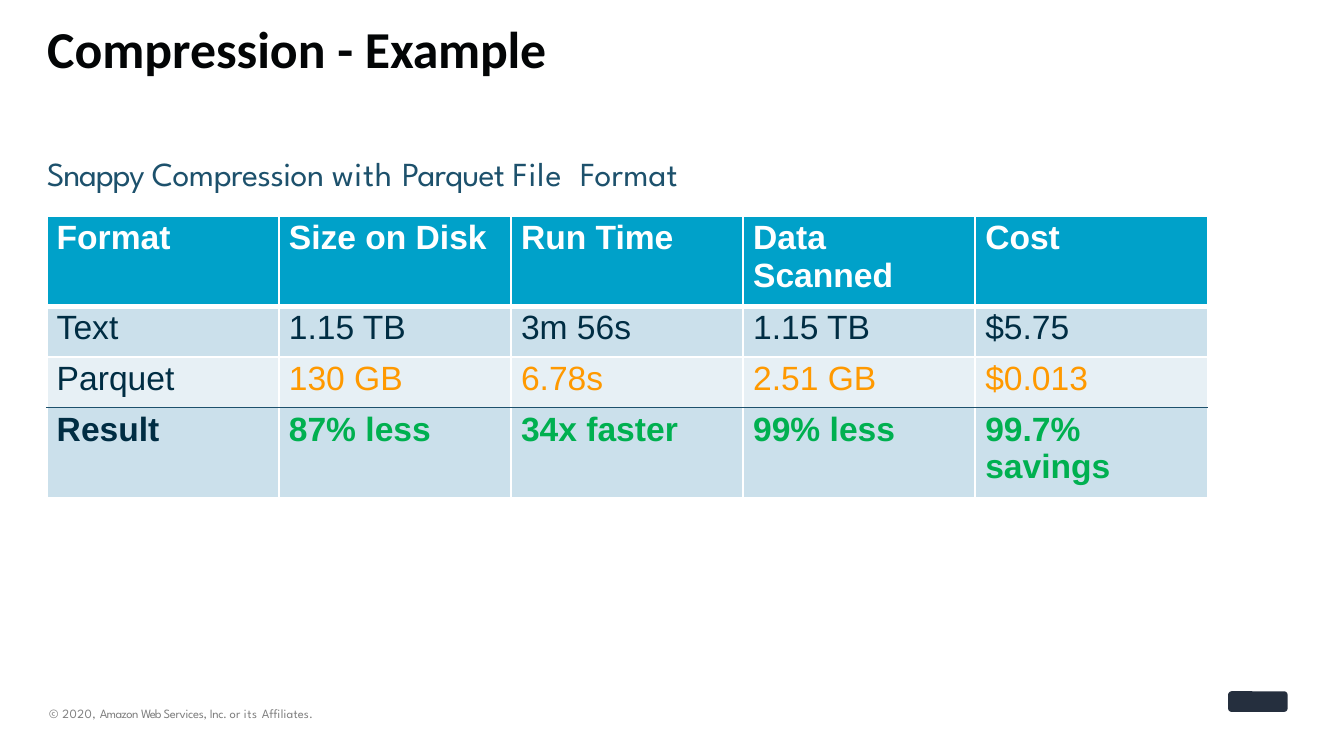
"""Build the compression example slide with its comparison table."""
from lxml.etree import SubElement
from pptx import Presentation
from pptx.dml.color import RGBColor
from pptx.enum.shapes import MSO_SHAPE
from pptx.enum.text import MSO_ANCHOR, PP_ALIGN
from pptx.oxml.ns import qn
from pptx.util import Cm, Pt

TITLE = [("Compression - ", 0), ("Example", -0.1)]
SUBTITLE = [("Snappy ", -0.8), ("Compression ", -0.3), ("with ", 0.6),
            ("Parquet ", -0.5), ("File", 0.8), (" ", 6.5), ("Format", 0.1)]
COPYRIGHT = [("© ", 0.2), ("2020, ", 0.3), ("Amazon ", -0.4), ("Web ", -0.7),
             ("Services, ", -0.2), ("Inc. ", -0.3), ("or ", 0.1),
             ("its ", 0.5), ("Affiliates.", 0.1)]
TABLE = [
    ("Format", "Size on Disk", "Run Time", "Data Scanned", "Cost"),
    ("Text", "1.15 TB", "3m 56s", "1.15 TB", "$5.75"),
    ("Parquet", "130 GB", "6.78s", "2.51 GB", "$0.013"),
    ("Result", "87% less", "34x faster", "99% less", "99.7%\nsavings"),
]
WHITE, NAVY, TEAL = "FFFFFF", "002D43", "1D516C"
THIN, THICK, RULE = (WHITE, 1.5), (WHITE, 4.25), (TEAL, 1.5)
# height, fill, label colour, value colour, bold, top border, bottom border
ROW_STYLES = [
    (2.27, "00A1C9", WHITE, WHITE, True, THIN, THICK),
    (1.28, "CBE0EB", NAVY, NAVY, False, THICK, THIN),
    (1.27, "E7F0F5", NAVY, "FF9900", False, THIN, RULE),
    (2.28, "CBE0EB", NAVY, "00B050", True, RULE, THIN),
]
COLUMN_WIDTH = 5.85


def color(value):
    return RGBColor.from_string(value)


def format_font(font, name, size, value, bold=False):
    font.name, font.size, font.bold = name, Pt(size), bold
    font.color.rgb = color(value)


def write_line(shape, box, parts, name, size, value, bold=False):
    shape.left, shape.top, shape.width, shape.height = map(Cm, box)
    frame = shape.text_frame
    frame.word_wrap = True
    frame.vertical_anchor = MSO_ANCHOR.TOP
    frame.margin_left = frame.margin_top = Cm(0.03)
    frame.margin_right = frame.margin_bottom = 0
    paragraph = frame.paragraphs[0]
    paragraph.alignment = PP_ALIGN.LEFT
    for text, spacing in parts:
        run = paragraph.add_run()
        run.text = text
        format_font(run.font, name, size, value, bold)
        run._r.get_or_add_rPr().set("spc", str(round(spacing * 100)))


def set_borders(cell, top, bottom):
    properties = cell._tc.get_or_add_tcPr()
    sides = {"a:lnL": THIN, "a:lnR": THIN, "a:lnT": top, "a:lnB": bottom}
    for tag, (value, width) in sides.items():
        line = SubElement(properties, qn(tag), w=str(Pt(width)))
        SubElement(SubElement(line, qn("a:solidFill")), qn("a:srgbClr"), val=value)


def format_cell(cell, text, fill, text_color, bold, top, bottom):
    cell.margin_left, cell.margin_right = Cm(0.25), Cm(0.2)
    cell.margin_top, cell.margin_bottom = Cm(0.08), 0
    set_borders(cell, top, bottom)
    cell.fill.solid()
    cell.fill.fore_color.rgb = color(fill)
    cell.text_frame.text = text
    for paragraph in cell.text_frame.paragraphs:
        for run in paragraph.runs:
            format_font(run.font, "Arial", 24, text_color, bold)


def add_comparison(slide):
    width = COLUMN_WIDTH * len(TABLE[0])
    height = sum(style[0] for style in ROW_STYLES)
    table = slide.shapes.add_table(len(TABLE), len(TABLE[0]), Cm(1.18), Cm(5.45),
                                   Cm(width), Cm(height)).table
    table.first_row = table.horz_banding = False
    for column in table.columns:
        column.width = Cm(COLUMN_WIDTH)
    for row, texts, style in zip(table.rows, TABLE, ROW_STYLES):
        row_height, fill, label_color, value_color, bold, top, bottom = style
        row.height = Cm(row_height)
        for index, (cell, text) in enumerate(zip(row.cells, texts)):
            text_color = value_color if index else label_color
            format_cell(cell, text, fill, text_color, bold, top, bottom)


def add_corner_mark(slide):
    mark = slide.shapes.add_shape(MSO_SHAPE.ROUNDED_RECTANGLE,
                                  Cm(30.95), Cm(17.42), Cm(1.5), Cm(0.52))
    mark.shadow.inherit = False
    mark.fill.solid()
    mark.fill.fore_color.rgb = color("252F3E")
    mark.line.fill.background()


def main():
    presentation = Presentation()
    presentation.slide_width, presentation.slide_height = Cm(33.87), Cm(19.05)
    slide = presentation.slides.add_slide(presentation.slide_layouts[5])
    add_corner_mark(slide)
    write_line(slide.shapes.title, (1.16, 0.4, 12.75, 1.63), TITLE,
               "Calibri", 37, "030506", True)
    for box, parts, size, value in [
        ((1.21, 17.75, 7.67, 0.46), COPYRIGHT, 9, "7F7F7F"),
        ((1.15, 3.82, 18.85, 1.09), SUBTITLE, 24, TEAL),
    ]:
        write_line(slide.shapes.add_textbox(0, 0, 0, 0), box, parts,
                   "League Spartan", size, value)
    add_comparison(slide)
    presentation.save("out.pptx")


if __name__ == "__main__":
    main()
